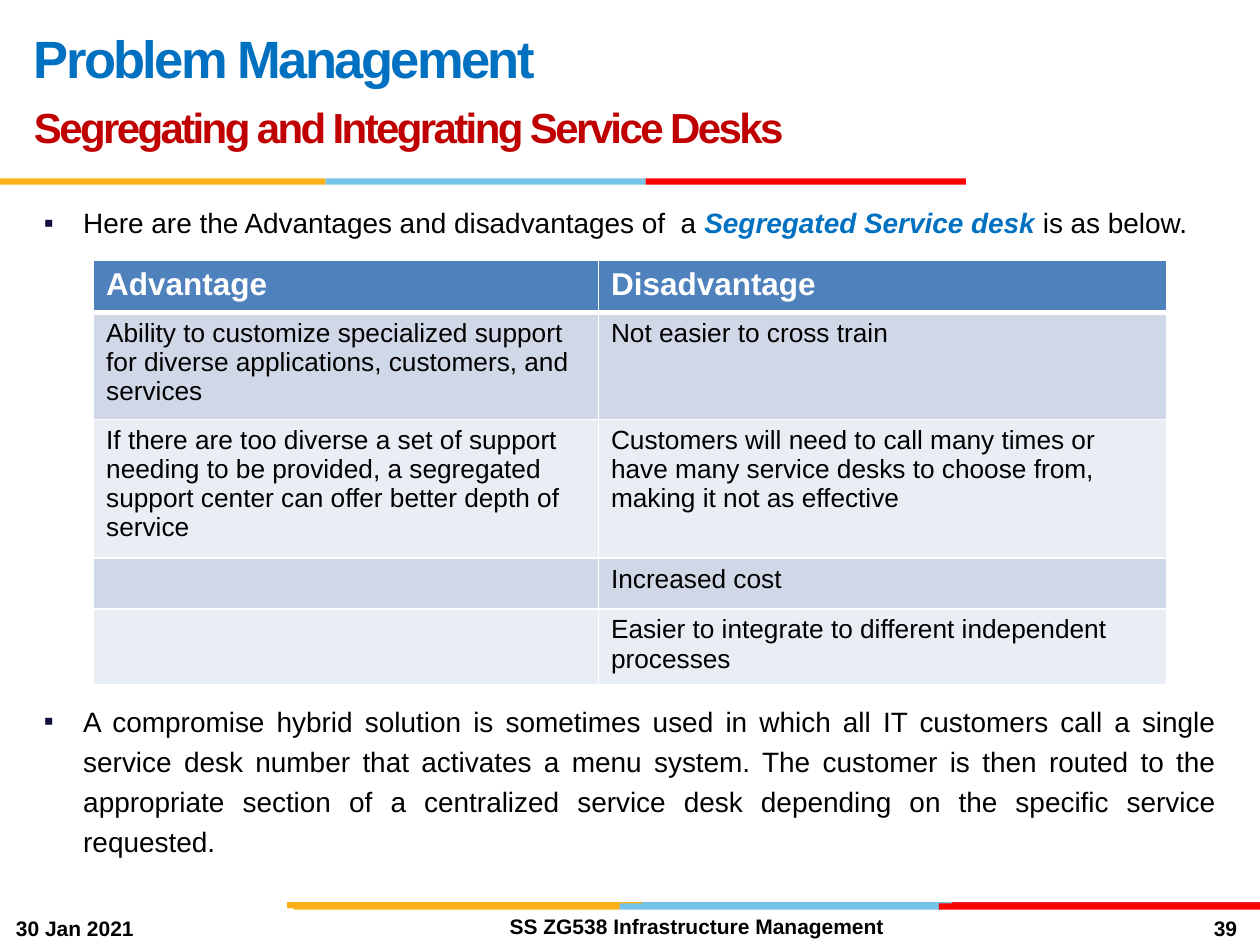
from lxml.etree import SubElement
from pptx import Presentation
from pptx.dml.color import RGBColor
from pptx.enum.shapes import MSO_SHAPE as Shape
from pptx.enum.text import MSO_ANCHOR as Anchor, PP_ALIGN as Align
from pptx.oxml.ns import qn
from pptx.util import Pt

BLUE, RED, BLACK, WHITE = "0070C0", "C00000", "000000", "FFFFFF"
AMBER, SKY, CRIMSON, BRIGHT_RED = "FCB017", "76C2E5", "E31C24", "FF0000"
HEADER, BANDS, BULLET = "4F81BD", ("D0D8E8", "E9EDF4"), "101141"

ROWS = [
    (["Advantage"], ["Disadvantage"]),
    (["Ability to customize specialized support",
      "for diverse applications, customers, and services"],
     ["Not easier to cross train"]),
    (["If there are too diverse a set of support needing to be provided, "
      "a segregated support center can offer better depth of service"],
     ["Customers will need to call many times or have many service desks "
      "to choose from, making it not as effective"]),
    ([], ["Increased cost"]),
    ([], ["Easier to integrate to different independent processes"]),
]


def color(hex_string):
    return RGBColor.from_string(hex_string)


class SlideBuilder:
    font = "Arial"
    body_size = 16
    bullet_indent = 22.5

    def __init__(self, slide):
        self.slide = slide

    def run(self, paragraph, text, size, fill=BLACK, bold=False, italic=False):
        run = paragraph.add_run()
        run.text = text
        font = run.font
        font.name, font.size = self.font, Pt(size)
        font.bold, font.italic = bold, italic
        font.color.rgb = color(fill)
        return run

    def title(self, lines, left, top, width, height):
        """Fill the title placeholder with lines of (text, size, colour)."""
        title = self.slide.shapes.title
        title.left, title.top = Pt(left), Pt(top)
        title.width, title.height = Pt(width), Pt(height)
        frame = title.text_frame
        frame.word_wrap, frame.vertical_anchor = True, Anchor.MIDDLE
        for index, (text, size, fill) in enumerate(lines):
            paragraph = frame.add_paragraph() if index else frame.paragraphs[0]
            paragraph.alignment = Align.LEFT
            paragraph.line_spacing = Pt(36)
            run = self.run(paragraph, text, size, fill, bold=True)
            run.font._element.set("spc", "-150")

    def strip(self, top, segments):
        """Draw a row of thin bars given as (left, width, colour)."""
        for left, width, fill in segments:
            bar = self.slide.shapes.add_shape(
                Shape.RECTANGLE, Pt(left), Pt(top), Pt(width), Pt(3.6))
            bar.shadow.inherit = False
            bar.fill.solid()
            bar.fill.fore_color.rgb = color(fill)
            bar.line.fill.background()

    def text_box(self, left, top, width, height, align, anchor=Anchor.TOP):
        """Add a text box and return its first paragraph."""
        box = self.slide.shapes.add_textbox(
            Pt(left), Pt(top), Pt(width), Pt(height))
        frame = box.text_frame
        frame.word_wrap, frame.vertical_anchor = True, anchor
        paragraph = frame.paragraphs[0]
        paragraph.alignment = align
        return paragraph

    def bullet(self, top, height, runs, line_spacing=1.0):
        paragraph = self.text_box(18, top, 684, height, Align.JUSTIFY)
        paragraph.line_spacing = line_spacing
        properties = paragraph._p.get_or_add_pPr()
        indent = Pt(self.bullet_indent)
        properties.set("marL", str(indent))
        properties.set("indent", str(-indent))
        bullet_color = SubElement(properties, qn("a:buClr"))
        SubElement(bullet_color, qn("a:srgbClr"), val=BULLET)
        SubElement(properties, qn("a:buFont"), typeface=self.font)
        SubElement(properties, qn("a:buChar"), char="▪")
        for text, style in runs:
            self.run(paragraph, text, self.body_size, **style)

    def footer(self, text, left, top, width, align):
        paragraph = self.text_box(left, top, width, 28.8, align, Anchor.MIDDLE)
        self.run(paragraph, text, 12, bold=True)

    def borders(self, cell, bottom):
        properties = cell._tc.get_or_add_tcPr()
        for index, (side, width) in enumerate(
                [("L", 1), ("R", 1), ("T", 1), ("B", bottom)]):
            line = properties.makeelement(qn(f"a:ln{side}"), {"w": str(Pt(width))})
            fill = SubElement(line, qn("a:solidFill"))
            SubElement(fill, qn("a:srgbClr"), val=WHITE)
            properties.insert(index, line)

    def table(self, rows, left, top, widths, heights):
        frame = self.slide.shapes.add_table(
            len(rows), len(widths), Pt(left), Pt(top),
            Pt(sum(widths)), Pt(sum(heights)))
        table = frame.table
        for column, width in zip(table.columns, widths):
            column.width = Pt(width)
        for row_index, (row, height) in enumerate(zip(rows, heights)):
            table.rows[row_index].height = Pt(height)
            is_header = row_index == 0
            size, ink = (18, WHITE) if is_header else (15, BLACK)
            band = HEADER if is_header else BANDS[(row_index - 1) % 2]
            for column_index, lines in enumerate(row):
                cell = table.cell(row_index, column_index)
                cell.fill.solid()
                cell.fill.fore_color.rgb = color(band)
                self.borders(cell, bottom=3 if is_header else 1)
                text_frame = cell.text_frame
                text_frame.paragraphs[0].font.size = Pt(size)
                for index, line in enumerate(lines):
                    paragraph = (text_frame.add_paragraph() if index
                                 else text_frame.paragraphs[0])
                    self.run(paragraph, line, size, ink, bold=is_header)


def main():
    presentation = Presentation()
    presentation.slide_width, presentation.slide_height = Pt(720), Pt(540)
    title_only = presentation.slide_layouts[5]
    builder = SlideBuilder(presentation.slides.add_slide(title_only))

    builder.strip(515.5, [(364, 184, SKY), (544, 176, CRIMSON), (164, 203, AMBER)])
    builder.strip(516.2, [(354, 184, SKY), (168, 186, AMBER), (536.5, 183.5, BRIGHT_RED)])
    builder.strip(102, [(186, 183, SKY), (0, 186, AMBER), (369, 183, BRIGHT_RED)])

    builder.title([("Problem Management", 30, BLUE),
                   ("Segregating and Integrating Service Desks", 24, RED)],
                  12.2, 0, 613.4, 102)
    builder.bullet(114, 30, [
        ("Here are the Advantages and disadvantages of  a ", {}),
        ("Segregated Service desk ", {"fill": BLUE, "bold": True, "italic": True}),
        ("is as below.", {})])
    builder.table(ROWS, 53.5, 149, widths=(288.5, 324.5),
                  heights=(29.5, 56.5, 74.5, 29, 40.5))
    builder.bullet(395, 100, [
        ("A compromise hybrid solution is sometimes used in which all IT "
         "customers call a single service desk number that activates a menu "
         "system. The customer is then routed to the appropriate section of a "
         "centralized service desk depending on the specific service "
         "requested.", {})], line_spacing=1.2)

    builder.footer("30 Jan 2021", 2, 516, 90, Align.LEFT)
    builder.footer("SS ZG538 Infrastructure Management", 282, 515, 232.5, Align.CENTER)
    builder.footer("39", 546, 516, 168, Align.RIGHT)
    presentation.save("out.pptx")


if __name__ == "__main__":
    main()
